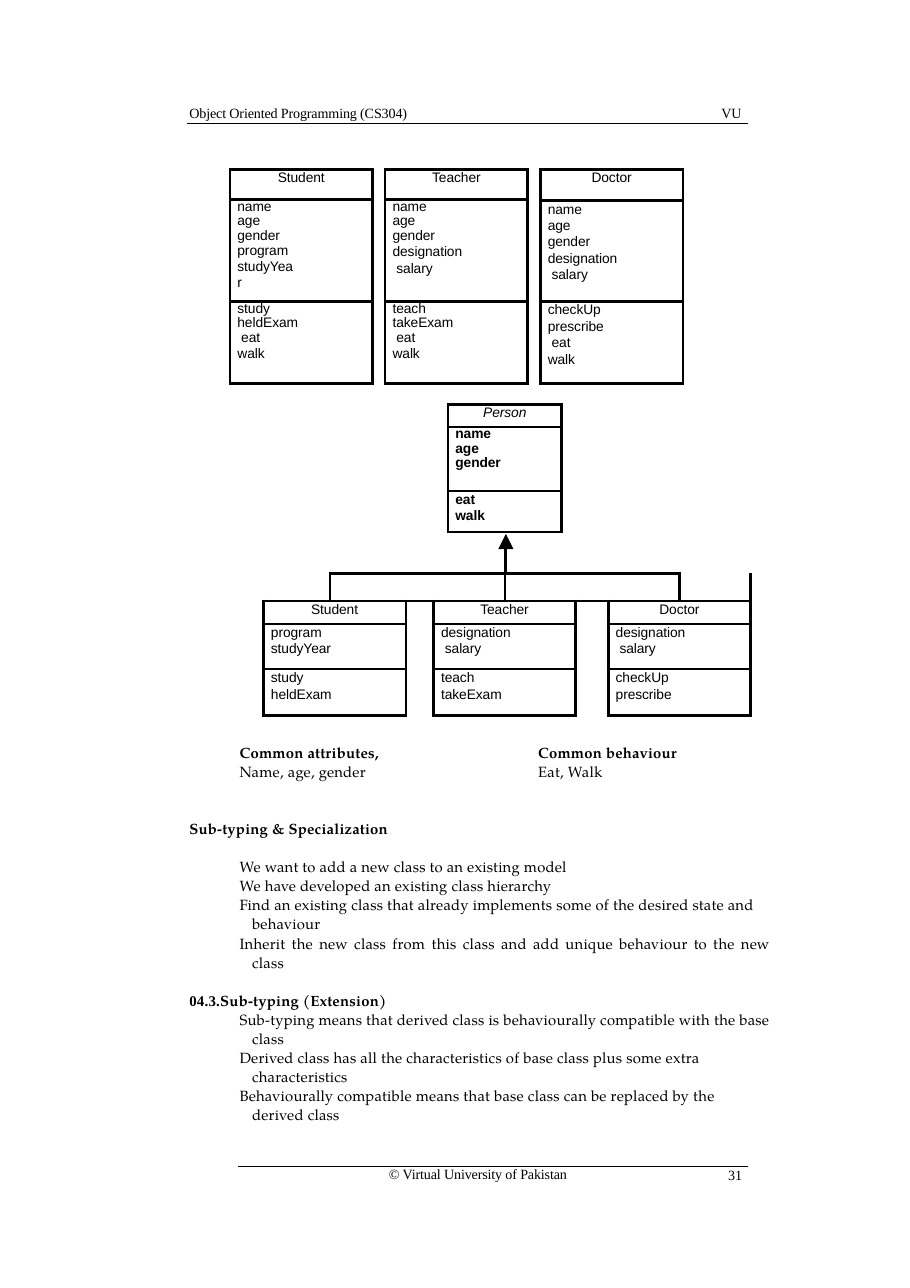
import pptx
import pptx.dml.color
import pptx.enum.shapes
import pptx.enum.text
import pptx.oxml
import pptx.oxml.ns
import pptx.util
from lxml import etree

Pt = pptx.util.Pt
ALIGN = pptx.enum.text.PP_ALIGN
BLACK = pptx.dml.color.RGBColor(0, 0, 0)
SERIF, BOOK, SANS = "Times New Roman", "TeX Gyre Pagella", "Arial"
NO_STYLE = "{2D5ABB26-0587-4C30-8999-92F81FD0307C}"
THICK, THIN = 1.88, 0.66
LEADING = 12.45


class Page:
    """Holds the style and the current slide, and draws each kind of element."""

    def __init__(self, prs):
        self.slide = prs.slides.add_slide(prs.slide_layouts[6])

    def style(self, p, name, size, spc, bold=False, italic=False):
        p.font.name = name
        p.font.size = Pt(size)
        p.font.bold = bold
        p.font.italic = italic
        p.font.color.rgb = BLACK
        p.font._rPr.set("spc", str(spc))

    def indent(self, p, left, first=0):
        pPr = p._p.get_or_add_pPr()
        pPr.set("marL", str(Pt(left)))
        pPr.set("indent", str(Pt(first)))

    def frame(self, x, y, w, h):
        tf = self.slide.shapes.add_textbox(Pt(x), Pt(y), Pt(w), Pt(h)).text_frame
        tf.margin_left = tf.margin_right = tf.margin_top = tf.margin_bottom = 0
        tf.word_wrap = True
        return tf

    def paragraphs(self, tf, texts):
        for i, text in enumerate(texts):
            p = tf.paragraphs[0] if i == 0 else tf.add_paragraph()
            p.text = text
            yield i, p

    def label(self, x, y, w, text):
        tf = self.frame(x, y, w, 11.5)
        tf.text = text
        self.style(tf.paragraphs[0], SERIF, 9.2, -10)

    def note(self, x, y, heading, text):
        tf = self.frame(x, y, 110, 25)
        for i, p in self.paragraphs(tf, [heading, text]):
            p.line_spacing = Pt(LEADING)
            self.style(p, BOOK, 9.7, 15, bold=i == 0)

    def section(self, tf, heading, points, number=None):
        p = tf.add_paragraph() if tf.text else tf.paragraphs[0]
        if tf.text:
            p.space_before = Pt(LEADING)
        p.line_spacing = Pt(LEADING)
        if number:
            r = p.add_run()
            r.text = number
            r.font.name = SERIF
        p.add_run().text = heading
        self.style(p, BOOK, 9.7, 15, bold=True)
        for i, (text, align) in enumerate(points):
            p = tf.add_paragraph()
            p.text = text
            p.alignment = align
            p.line_spacing = Pt(LEADING)
            if i == 0 and not number:
                p.space_before = Pt(LEADING)
            self.indent(p, 41, -8.2)
            self.style(p, BOOK, 9.7, 15)

    def line(self, x1, y1, x2, y2, width=THICK, arrow=False):
        sp = self.slide.shapes.add_connector(
            pptx.enum.shapes.MSO_CONNECTOR.STRAIGHT, Pt(x1), Pt(y1), Pt(x2), Pt(y2))
        sp.line.color.rgb = BLACK
        sp.line.width = Pt(width)
        if arrow:
            etree.SubElement(sp.line._get_or_add_ln(), pptx.oxml.ns.qn("a:tailEnd"),
                             type="triangle", w="lg", len="lg")
        etree.SubElement(sp._element.spPr, pptx.oxml.ns.qn("a:effectLst"))

    def table(self, x, y, widths, heights):
        table = self.slide.shapes.add_table(
            len(heights), len(widths), Pt(x), Pt(y),
            Pt(sum(widths)), Pt(sum(heights))).table
        table.first_row = table.horz_banding = False
        table._tbl.tblPr.find(pptx.oxml.ns.qn("a:tableStyleId")).text = NO_STYLE
        for column, w in zip(table.columns, widths):
            column.width = Pt(w)
        for row, h in zip(table.rows, heights):
            row.height = Pt(h)
        return table

    def cell(self, cell, sides="LRTB"):
        cell.margin_left = cell.margin_right = cell.margin_top = cell.margin_bottom = 0
        tcPr = cell._tc.get_or_add_tcPr()
        for side in sides:
            tcPr.append(pptx.oxml.parse_xml(
                f'<a:ln{side} {pptx.oxml.ns.nsdecls("a")} w="{Pt(THICK)}">'
                f'<a:solidFill><a:srgbClr val="{BLACK}"/></a:solidFill></a:ln{side}>'))
        cell.fill.background()
        self.style(cell.text_frame.paragraphs[0], SANS, 9, -5)

    def heading(self, cell, name, italic=False):
        self.cell(cell)
        cell.margin_top = Pt(0.5)
        cell.text = name
        p = cell.text_frame.paragraphs[0]
        p.alignment = ALIGN.CENTER
        self.style(p, SANS, 9, -5, italic=italic)

    def members(self, cell, tight, loose, bold=False, right=0):
        self.cell(cell)
        cell.margin_left, cell.margin_right = Pt(4.9), Pt(right)
        tight_lines = tight.split()
        lines = tight_lines + loose.split()
        for i, p in self.paragraphs(cell.text_frame, lines):
            p.line_spacing = 0.95 if i < len(tight_lines) else Pt(10.75)
            if i and lines[i] in ("eat", "salary"):
                self.indent(p, 2.5)
            self.style(p, SANS, 9, -5, bold=bold)

    def class_box(self, x, y, w, heights, name, attributes, methods,
                  abstract=False, right=0):
        table = self.table(x, y, [w], heights)
        self.heading(table.cell(0, 0), name, italic=abstract)
        self.members(table.cell(1, 0), *attributes, bold=abstract, right=right)
        self.members(table.cell(2, 0), *methods, bold=abstract)

    def hierarchy(self, x, y, widths, heights, classes):
        table = self.table(x, y, widths, heights)
        self.cell(table.cell(0, 0), "RB")
        self.cell(table.cell(0, 7), "LB")
        for col in (1, 4):
            table.cell(0, col).merge(table.cell(0, col + 2))
            self.cell(table.cell(0, col))
        for col in (2, 5):
            table.cell(1, col).merge(table.cell(3, col))
            self.cell(table.cell(1, col), "LRT")
        for i, (name, attributes, methods) in enumerate(classes):
            col = 3 * i
            for row in (1, 2, 3):
                table.cell(row, col).merge(table.cell(row, col + 1))
            self.heading(table.cell(1, col), name)
            self.members(table.cell(2, col), "", attributes)
            self.members(table.cell(3, col), "", methods)


def main():
    prs = pptx.Presentation()
    prs.slide_width, prs.slide_height = Pt(594.72), Pt(841.68)
    page = Page(prs)

    page.label(123.8, 68.4, 160, "Object Oriented Programming (CS304)")
    page.label(471.5, 68.4, 30, "VU")
    page.line(122.4, 80.6, 488.9, 80.6, THIN)
    page.line(155.5, 762.2, 488.9, 762.2, THIN)
    page.label(254.2, 761.8, 140, "© Virtual University of Pakistan")
    page.label(475.9, 762.5, 20, "31")

    full = [
        ("Student", 19.6, ("name age gender program", "studyYear"),
         ("study heldExam eat", "walk"), 52),
        ("Teacher", 19.6, ("name age gender", "designation salary"),
         ("teach takeExam eat", "walk"), 0),
        ("Doctor", 20.4, ("", "name age gender designation salary"),
         ("", "checkUp prescribe eat walk"), 0),
    ]
    for i, (name, top, attributes, methods, right) in enumerate(full):
        page.class_box(150.3 + 101.4 * i, 110.7, 93.2, (top, 86.2 - top, 53.6),
                       name, attributes, methods, right=right)

    page.class_box(292.7, 264.4, 74.4, (14.6, 41.8, 27), "Person",
                   ("name age gender", ""), ("", "eat walk"), abstract=True)

    page.line(330.6, 374.7, 330.6, 348.9, arrow=True)
    page.hierarchy(
        172.2, 374.7, (43.4, 49.6, 18.2, 46.6, 46.2, 21.4, 46.7, 46.3),
        (18, 15, 29.6, 30.2), [
            ("Student", "program studyYear", "study heldExam"),
            ("Teacher", "designation salary", "teach takeExam"),
            ("Doctor", "designation salary", "checkUp prescribe"),
        ])

    page.note(156.6, 485.3, "Common attributes,", "Name, age, gender")
    page.note(351.7, 485.3, "Common behaviour", "Eat, Walk")

    tf = page.frame(123.8, 535, 380, 200)
    page.section(tf, "Sub-typing & Specialization", [
        ("We want to add a new class to an existing model", ALIGN.LEFT),
        ("We have developed an existing class hierarchy", ALIGN.LEFT),
        ("Find an existing class that already implements some of the desired "
         "state and behaviour", ALIGN.LEFT),
        ("Inherit the new class from this class and add unique behaviour to "
         "the new class", ALIGN.JUSTIFY),
    ])
    page.section(tf, "Sub-typing (Extension)", [
        ("Sub-typing means that derived class is behaviourally compatible "
         "with the base class", ALIGN.LEFT),
        ("Derived class has all the characteristics of base class plus some "
         "extra characteristics", ALIGN.LEFT),
        ("Behaviourally compatible means that base class can be replaced by "
         "the\vderived class", ALIGN.LEFT),
    ], number="04.3.")

    prs.save("out.pptx")


if __name__ == "__main__":
    main()
